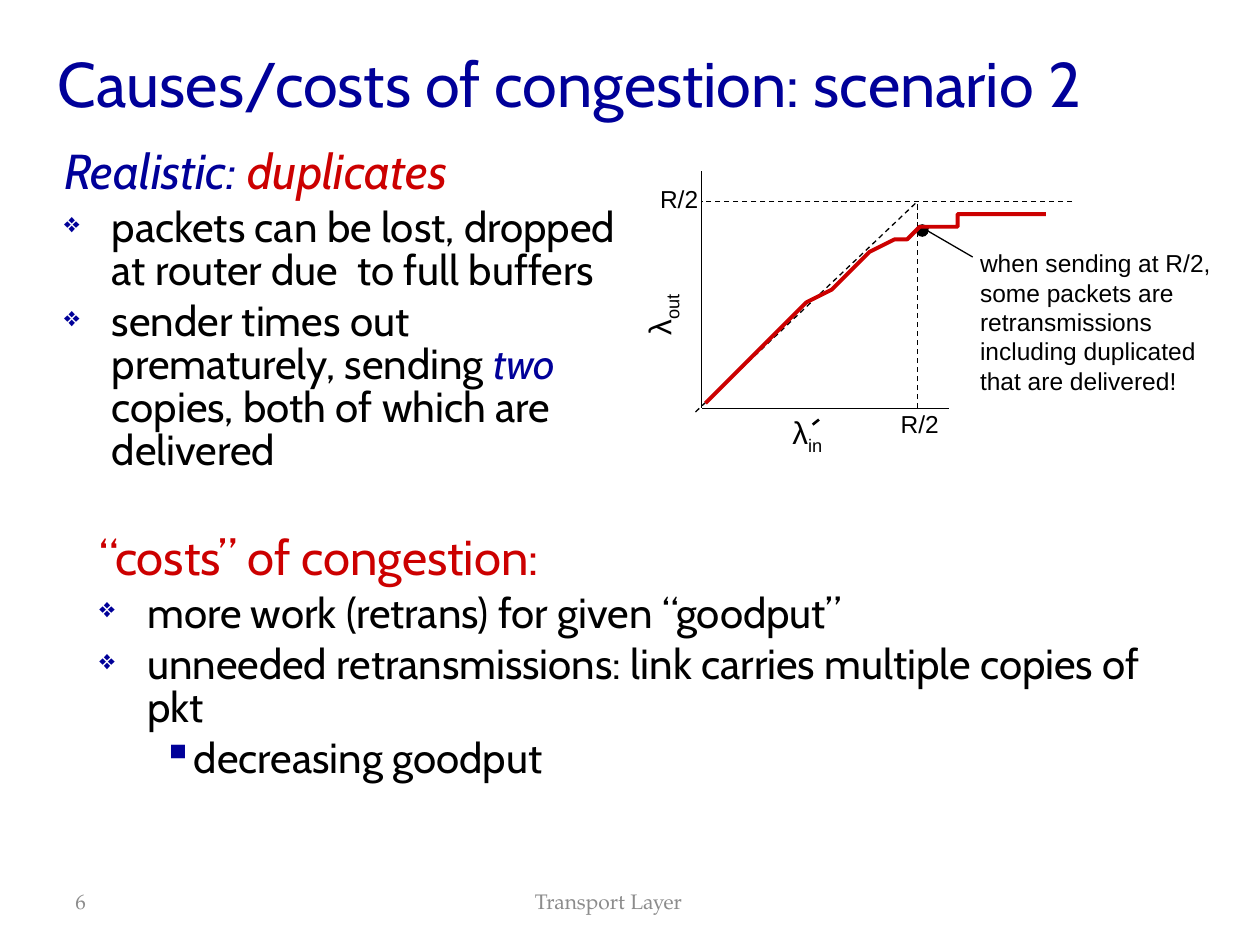
from dataclasses import dataclass

from lxml import etree
from pptx import Presentation
from pptx import util as u
from pptx.dml.color import RGBColor
from pptx.enum import dml, shapes, text
from pptx.oxml import ns

COLS, ROWS = 100, 75  # slide grid
CELL = u.Inches(0.1)


@dataclass(frozen=True)
class Theme:
    blue: str = "000099"
    red: str = "CC0000"
    ink: str = "000000"
    gray: str = "8C8C8C"
    head: str = "Cabin"
    label: str = "Arial"
    foot: str = "TeX Gyre Pagella"
    title: int = 36
    lead: int = 28
    body: int = 24
    sym: int = 18
    note: int = 14
    small: int = 12


T = Theme()


def rgb(code):
    return RGBColor.from_string(code)


def sub(node, tag, **attrs):
    return etree.SubElement(node, ns.qn(tag), attrs)


def style(font, size=None, color=None, name=None, italic=None):
    if size:
        font.size = u.Pt(size)
    if color:
        font.color.rgb = rgb(color)
    if name:
        font.name = name
    if italic is not None:
        font.italic = italic


def frame(slide, x, y, w, h, wrap=True, mid=False):
    box = slide.shapes.add_textbox(*(int(v * CELL) for v in (x, y, w, h)))
    box.text_frame.word_wrap = wrap
    if mid:
        box.text_frame.vertical_anchor = text.MSO_ANCHOR.MIDDLE
    return box


def label(slide, box, words, size, name=T.label, color=T.ink, low="", **opts):
    """Add a one-paragraph text; low is a trailing subscript."""
    shape = frame(slide, *box, **opts)
    para = shape.text_frame.paragraphs[0]
    style(para.font, size, color, name)
    para.add_run().text = words
    if low:
        run = para.add_run()
        run.text = low
        run.font._element.set("baseline", "-25000")
    return shape


def bullet(para, level):
    props = para._p.get_or_add_pPr()
    sub(sub(props, "a:buClr"), "a:srgbClr", val=T.blue)
    if level == 0:
        sub(props, "a:buSzPct", val="65000")
    sub(props, "a:buChar", char="▪" if level else "❖")


def outline(slide, box, lead, items):
    """Add a heading of (words, style) runs, then (level, runs) bullets."""
    body = frame(slide, *box).text_frame
    for i, (level, runs) in enumerate([(0, lead), *items]):
        para = body.add_paragraph() if i else body.paragraphs[0]
        size = T.body if i else T.lead
        para.level = level
        para.line_spacing = 0.85
        left, hang = (0.75, 0.25) if level else (0.38, 0.38)
        props = para._p.get_or_add_pPr()
        props.set("marL", str(u.Inches(left)))
        props.set("indent", str(-u.Inches(hang)))
        if i:
            para.space_before = u.Pt(size * 0.2)
            bullet(para, level)
        style(para.font, size, T.ink, T.head)
        for words, look in runs:
            run = para.add_run()
            run.text = words
            style(run.font, **look)


def title(slide, box):
    shape = label(slide, box, "Causes/costs of congestion: scenario 2",
                  T.title, T.head, T.blue, mid=True)
    end = shape.text_frame.paragraphs[0].add_run()
    end.text = " "
    style(end.font, 44)


def line(slide, start, end, width=0.75, dash=False, arrow=False):
    link = slide.shapes.add_connector(
        shapes.MSO_CONNECTOR.STRAIGHT,
        *(int(v * CELL) for v in (*start, *end)))
    link.line.color.rgb = rgb(T.ink)
    link.line.width = u.Pt(width)
    if dash:
        link.line.dash_style = dml.MSO_LINE.DASH
    if arrow:
        sub(link.line._get_or_add_ln(), "a:tailEnd", type="triangle")
    sub(link._element.spPr, "a:effectLst")


def bezier(a, b, c, d, steps=16):
    for i in range(1, steps + 1):
        t = i / steps
        s = 1 - t
        yield tuple(s**3 * p + 3 * s * s * t * q + 3 * s * t * t * r + t**3 * v
                    for p, q, r, v in zip(a, b, c, d))


def curve(slide, knots):
    """Draw a smooth path; knots are a start, then triples of control points."""
    points = [p for i in range(0, len(knots) - 1, 3)
              for p in bezier(*knots[i:i + 4])]
    pen = slide.shapes.build_freeform(*knots[0], scale=CELL)
    pen.add_line_segments(points, close=False)
    path = pen.convert_to_shape()
    path.shadow.inherit = False
    path.fill.background()
    path.line.color.rgb = rgb(T.red)
    path.line.width = u.Pt(2.25)


def graph(slide, box):
    """Draw the throughput graph; box is the area spanned by the axes."""
    left, top, wide, high = box

    def at(x, y, *size):
        return (left + x, top + y, *size)

    cap, half = 2.4, 17.1  # R/2 on each axis
    line(slide, at(0, 0), at(0, high))
    line(slide, at(29.4, cap), at(0, cap), dash=True)
    line(slide, at(-0.5, high + 0.3), at(half, cap), dash=True)
    line(slide, at(half, high), at(half, cap + 0.2), dash=True)

    dot = slide.shapes.add_shape(
        shapes.MSO_SHAPE.OVAL,
        *(int(v * CELL) for v in at(half - 0.1, 4.2, 1, 1)))
    dot.shadow.inherit = False
    dot.fill.solid()
    dot.fill.fore_color.rgb = rgb(T.ink)
    dot.line.fill.background()
    line(slide, at(21.5, 6.8), at(half + 0.1, 4.3), arrow=True)
    curve(slide, [at(*p) for p in (
        (0, 18.7), (2.8, 16.4), (11.5, 6.3), (17.2, 4.7),
        (20.3, 3.9), (20.1, 3.7), (25.4, 3.6),
        (27.7, 3.6), (27.2, 3.6), (27.7, 3.6))])
    line(slide, at(wide, high), at(0, high))

    for x, y in ((-4.3, 0.5), (14.8, 18.4)):
        label(slide, at(x, y, 5, 3.3), "R/2", T.note, wrap=False)
    out = label(slide, at(-6.8, 8.6, 6.8, 4), "λ", T.sym, low="out")
    out.rotation = 270
    label(slide, at(6.2, 18.7, 4.7, 4), "λ", T.sym, low="in", wrap=False)
    line(slide, at(8.8, 20.1), at(9.3, 19.7), 1.5)
    label(slide, at(21.1, 5.6, 20.6, 12.6),
          "when sending at R/2, some packets are retransmissions "
          "including duplicated that are delivered!", T.note)


def footer(slide, box):
    left, top, wide, high = box
    label(slide, (left, top, 11.7, high), "6", T.small, T.foot, T.gray,
          mid=True)
    name = label(slide, (left + 13.3, top, wide - 13.3, high),
                 "Transport Layer", T.small, T.foot, T.gray, mid=True)
    name.text_frame.paragraphs[0].alignment = text.PP_ALIGN.CENTER


def main():
    deck = Presentation()
    deck.slide_width, deck.slide_height = COLS * CELL, ROWS * CELL
    slide = deck.slides.add_slide(deck.slide_layouts[6])
    accent = dict(color=T.blue, italic=True)
    title(slide, (3.6, 1.3, 85, 9.5))
    outline(slide, (4.1, 11.4, 47.1, 21),
            [("Realistic: ", accent),
             ("duplicates", dict(color=T.red, italic=True))],
            [(0, [("packets can be lost, dropped at router due  to full "
                   "buffers", {})]),
             (0, [("sender times out prematurely, sending ", {}),
                  ("two ", accent),
                  ("copies, both of which are delivered", {})])])
    graph(slide, (55.7, 13.6, 19.6, 18.8))
    outline(slide, (6.9, 42, 89.1, 10.8),
            [("“costs” of congestion:", dict(color=T.red))],
            [(0, [("more work (retrans) for given “goodput”", {})]),
             (0, [("unneeded retransmissions: link carries multiple copies "
                   "of pkt", {})]),
             (1, [("decreasing goodput", {})])])
    footer(slide, (5, 69.5, 73.3, 4))
    deck.save("out.pptx")


if __name__ == "__main__":
    main()
